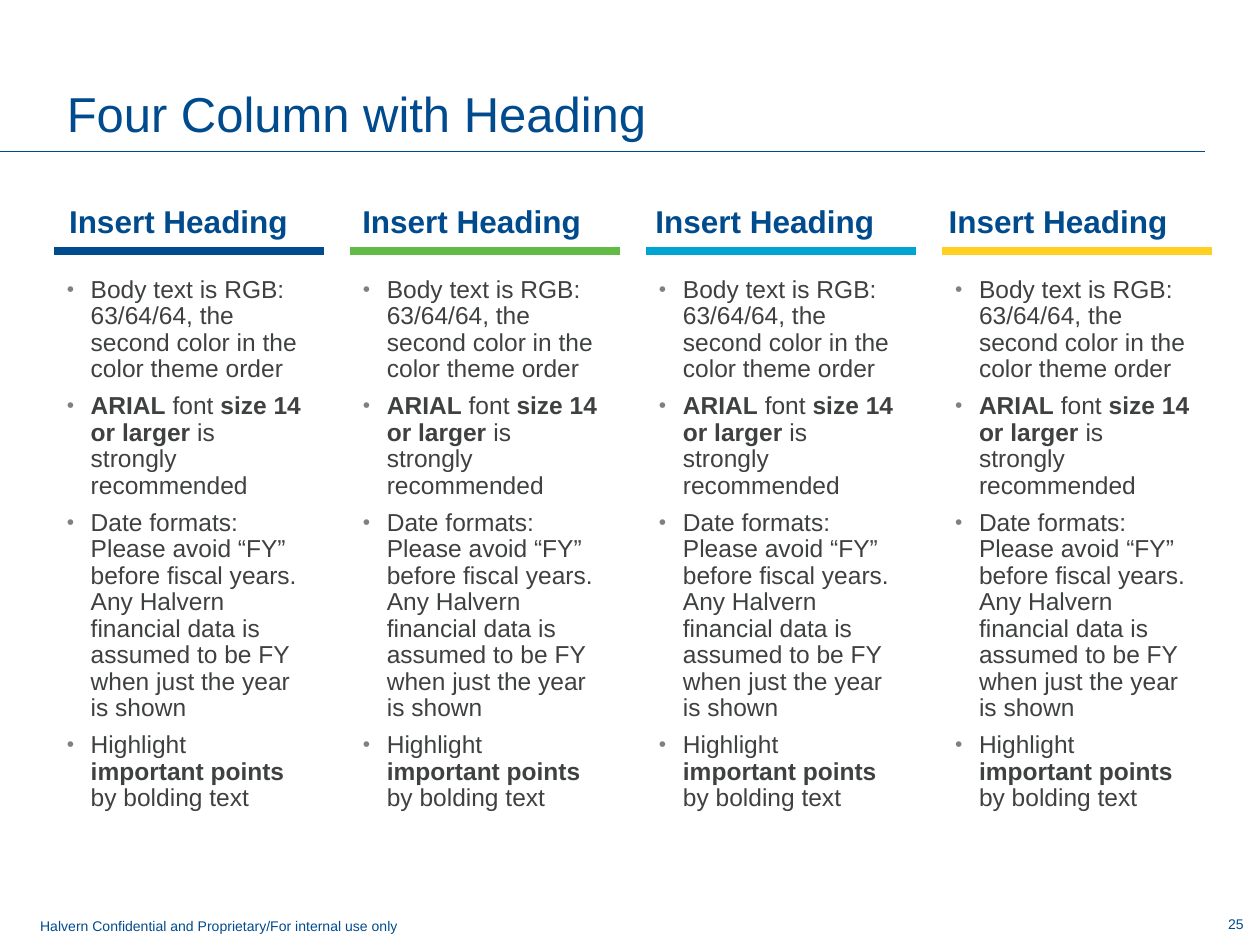
from lxml.etree import SubElement
from pptx import Presentation
from pptx.dml.color import RGBColor
from pptx.enum.shapes import MSO_CONNECTOR
from pptx.enum.text import MSO_ANCHOR as ANCHOR, MSO_AUTO_SIZE, PP_ALIGN as ALIGN
from pptx.oxml.ns import qn
from pptx.util import Inches, Pt

COLORS = {
    "navy": "004B8D",
    "green": "62BB46",
    "cyan": "00A4D2",
    "yellow": "FFCF22",
    "body": "3F4040",
    "bullet": "808080",
}
HEADING = "Insert Heading"
BULLETS = [
    [("Body text is RGB: 63/64/64, the second color in the color theme order", False)],
    [("ARIAL", True), (" font ", False), ("size 14 or larger ", True),
     ("is strongly recommended", False)],
    [("Date formats: Please avoid “FY” before fiscal years. Any Halvern financial "
      "data is assumed to be FY when just the year is shown", False)],
    [("Highlight ", False), ("important points ", True), ("by bolding text", False)],
]
RULES = ["navy", "green", "cyan", "yellow"]


def rgb(name):
    return RGBColor.from_string(COLORS[name])


def place(sp, left, top, width, height):
    sp.left, sp.top = Inches(left), Inches(top)
    sp.width, sp.height = Inches(width), Inches(height)


def set_frame(tf, anchor=ANCHOR.TOP, insets=(0.1, 0.05, 0.1, 0.05)):
    tf.word_wrap = True
    tf.auto_size = MSO_AUTO_SIZE.NONE
    tf.vertical_anchor = anchor
    tf.margin_left, tf.margin_top, tf.margin_right, tf.margin_bottom = map(Inches, insets)


def write(p, text, size=14, color="navy", bold=False, align=ALIGN.LEFT,
          line=1.0, space=0):
    p.alignment = align
    p.line_spacing = line
    p.space_before = p.space_after = Pt(space)
    r = p.add_run()
    r.text = text
    r.font.name = "Arial"
    r.font.size = Pt(size)
    r.font.bold = bold
    r.font.color.rgb = rgb(color)


def add_bullet(p):
    pPr = p._p.get_or_add_pPr()
    pPr.set("marL", str(Inches(0.19)))
    pPr.set("indent", str(-Inches(0.19)))
    color = SubElement(pPr, qn("a:buClr"))
    SubElement(color, qn("a:srgbClr"), val=COLORS["bullet"])
    SubElement(pPr, qn("a:buSzPct"), val="85000")
    SubElement(pPr, qn("a:buFont"), typeface="Arial")
    SubElement(pPr, qn("a:buChar"), char="•")


def add_text(slide, text, box, anchor=ANCHOR.TOP, insets=(0.1, 0.05, 0.1, 0.05), **fmt):
    sp = slide.shapes.add_textbox(*map(Inches, box))
    set_frame(sp.text_frame, anchor, insets)
    write(sp.text_frame.paragraphs[0], text, **fmt)


def add_rule(slide, left, top, width, color, weight):
    ln = slide.shapes.add_connector(
        MSO_CONNECTOR.STRAIGHT, Inches(left), Inches(top), Inches(left + width), Inches(top))
    ln.line.color.rgb = rgb(color)
    ln.line.width = Pt(weight)
    SubElement(ln._element.spPr, qn("a:effectLst"))


def add_title(slide, text, box):
    sp = slide.shapes.title
    place(sp, *box)
    set_frame(sp.text_frame, ANCHOR.BOTTOM)
    write(sp.text_frame.paragraphs[0], text, size=28, line=0.85)
    add_rule(slide, 0, 1.2, 9.56, "navy", 0.75)


def add_list(sp, box):
    place(sp, *box)
    tf = sp.text_frame
    set_frame(tf, insets=(0.1, 0.1, 0.1, 0.05))
    for i, runs in enumerate(BULLETS):
        p = tf.add_paragraph() if i else tf.paragraphs[0]
        for text, bold in runs:
            write(p, text, color="body", bold=bold, line=0.9, space=3)
        add_bullet(p)


def add_columns(slide, left, top, step):
    bodies = [ph for ph in slide.placeholders if 1 <= ph.placeholder_format.idx <= 4]
    for i, (body, color) in enumerate(zip(bodies, RULES)):
        x = left + i * step
        add_text(slide, HEADING, (0.45 + i * 2.327, top, 2.14, 0.58), ANCHOR.BOTTOM,
                 (0.1, 0.1, 0.1, 0), size=18, bold=True, line=0.9, space=3)
        add_rule(slide, x, top + 0.66, 2.14, color, 4.5)
        add_list(body, (x, top + 0.77, 2.09, 4.86))


def add_footer(slide, top):
    add_text(slide, "Halvern Confidential and Proprietary/For internal use only",
             (0.22, top, 9.12, 0.27), size=8)
    add_text(slide, "25", (9.38, top, 0.59, 0.21), ANCHOR.MIDDLE,
             size=8, align=ALIGN.RIGHT)


def main():
    prs = Presentation()
    prs.slide_width, prs.slide_height = Inches(10), Inches(7.5)
    slide = prs.slides.add_slide(prs.slide_layouts.get_by_name("Comparison"))
    add_title(slide, "Four Column with Heading", (0.43, 0.14, 9.14, 1.04))
    add_columns(slide, 0.43, 1.33, 2.35)
    add_footer(slide, 7.23)
    prs.save("out.pptx")


if __name__ == "__main__":
    main()
